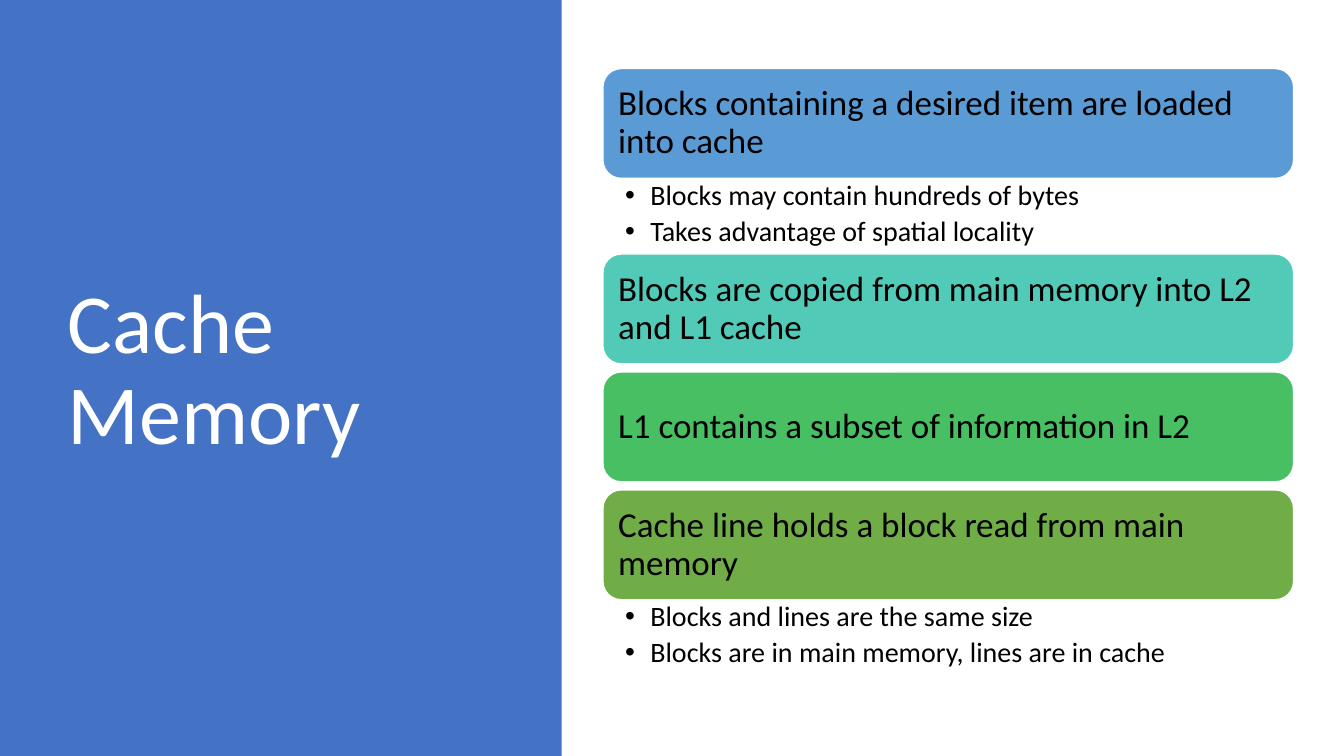
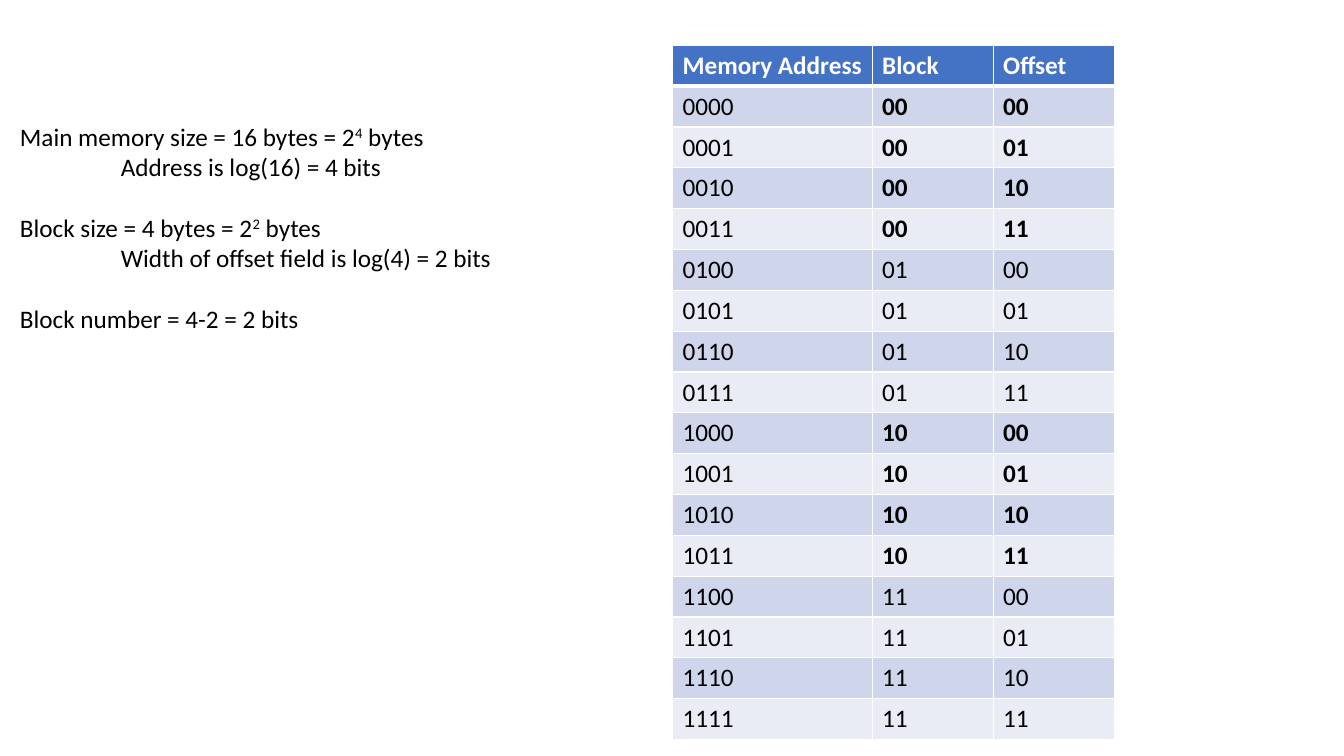
from lxml import etree
from pptx import Presentation
from pptx import util as u
from pptx.dml.color import RGBColor
from pptx.enum import shapes, text
from pptx.oxml.ns import qn

PX = 9144
TITLE_ONLY, BLANK = 5, 6


def px(length):
    return u.Emu(length * PX)


def rgb(code):
    return RGBColor.from_string(code)


def write(paragraph, content, size=18, color="000000", bold=False, line=None,
          before=None, after=None, indent=0, bullet=None, hanging=0):
    """Fill a paragraph; a part between two ^ signs is superscript."""
    props = paragraph._p.get_or_add_pPr()
    if indent:
        props.set("marL", str(px(indent)))
        props.set("indent", str(px(-hanging)))
    if bullet:
        etree.SubElement(props, qn("a:buFont")).set("typeface", "Arial")
        etree.SubElement(props, qn("a:buChar")).set("char", bullet)
    paragraph.alignment = text.PP_ALIGN.LEFT
    if line:
        paragraph.line_spacing = line
    if before:
        paragraph.space_before = u.Pt(before)
    if after:
        paragraph.space_after = u.Pt(after)
    for i, part in enumerate(content.split("^")):
        run = paragraph.add_run()
        run.text = part
        run.font.name = Deck.FONT
        run.font.size = u.Pt(size)
        run.font.bold = bold
        run.font.color.rgb = rgb(color)
        if i % 2:
            run._r.get_or_add_rPr().set("baseline", "30000")


def set_borders(cell, **widths):
    """Draw white cell edges, named by side in the order L, R, T, B."""
    props = cell._tc.get_or_add_tcPr()
    for place, (side, width) in enumerate(widths.items()):
        edge = etree.Element(qn(f"a:ln{side}"), w=str(u.Pt(width)))
        fill = etree.SubElement(edge, qn("a:solidFill"))
        etree.SubElement(fill, qn("a:srgbClr")).set("val", Deck.WHITE)
        props.insert(place, edge)


class Deck:
    FONT = "Calibri"
    WHITE = "FFFFFF"
    ACCENT = "4472C4"
    STRIPES = ("E9EBF5", "CFD5EA")

    def __init__(self, width, height):
        self.prs = Presentation()
        self.prs.slide_width, self.prs.slide_height = px(width), px(height)
        self.slide = None

    def new_slide(self, layout):
        self.slide = self.prs.slides.add_slide(self.prs.slide_layouts[layout])

    def title(self, content, *box):
        heading = self.slide.shapes.title
        heading.left, heading.top, heading.width, heading.height = map(px, box)
        frame = heading.text_frame
        frame.word_wrap = True
        frame.auto_size = text.MSO_AUTO_SIZE.NONE
        frame.vertical_anchor = text.MSO_ANCHOR.MIDDLE
        write(frame.paragraphs[0], content, size=60, color=self.WHITE, line=0.9)

    def panel(self, kind, fill, *box):
        panel = self.slide.shapes.add_shape(kind, *map(px, box))
        panel.shadow.inherit = False
        panel.fill.solid()
        panel.fill.fore_color.rgb = rgb(fill)
        panel.line.fill.background()
        return panel

    def side_band(self, width):
        band = self.panel(shapes.MSO_SHAPE.RECTANGLE, self.ACCENT, 0, 0, width, 750)
        self.slide.shapes.title.element.addprevious(band.element)

    def card(self, content, fill, *box):
        card = self.panel(shapes.MSO_SHAPE.ROUNDED_RECTANGLE, fill, *box)
        card.line.color.rgb = rgb(self.WHITE)
        card.line.width = u.Pt(1)
        frame = card.text_frame
        frame.word_wrap = True
        frame.vertical_anchor = text.MSO_ANCHOR.MIDDLE
        frame.margin_left = frame.margin_right = px(10)
        write(frame.paragraphs[0], content, size=25, line=0.9)

    def text_box(self, lines, *box, margins=(10, 5, 10, 5), **style):
        """Write (text, format) pairs that share a common style."""
        frame = self.slide.shapes.add_textbox(*map(px, box)).text_frame
        frame.word_wrap = True
        (frame.margin_left, frame.margin_top,
         frame.margin_right, frame.margin_bottom) = map(px, margins)
        for i, (content, extra) in enumerate(lines):
            paragraph = frame.add_paragraph() if i else frame.paragraphs[0]
            write(paragraph, content, **style, **extra)

    def table(self, rows, column_widths, bold_blocks, left, top, height):
        table = self.slide.shapes.add_table(
            len(rows), len(column_widths), px(left), px(top),
            px(sum(column_widths)), px(height)).table
        for column, width in zip(table.columns, column_widths):
            column.width = px(width)
        for r, row in enumerate(rows):
            for c, content in enumerate(row):
                cell = table.cell(r, c)
                cell.fill.solid()
                cell.fill.fore_color.rgb = rgb(self.STRIPES[r % 2] if r else self.ACCENT)
                set_borders(cell, L=1, R=1, T=3 if r == 1 else 1, B=1 if r else 3)
                write(cell.text_frame.paragraphs[0], content,
                      color="000000" if r else self.WHITE,
                      bold=r == 0 or (c > 0 and row[1] in bold_blocks))


def cache_slide(deck):
    deck.new_slide(TITLE_ONLY)
    deck.side_band(557)
    deck.title("Cache Memory", 57, 68, 416, 602)
    points = [
        ("Blocks containing a desired item are loaded into cache", "5B9BD5",
         ["Blocks may contain hundreds of bytes", "Takes advantage of spatial locality"]),
        ("Blocks are copied from main memory into L2 and L1 cache", "52CAB8", []),
        ("L1 contains a subset of information in L2", "49BF64", []),
        ("Cache line holds a block read from main memory", "70AD47",
         ["Blocks and lines are the same size",
          "Blocks are in main memory, lines are in cache"]),
    ]
    left, top, width, card_height, details_height, gap = 598, 68, 685, 109, 75, 8
    for point, fill, details in points:
        deck.card(point, fill, left, top, width, card_height)
        top += card_height
        if details:
            deck.text_box([(detail, {}) for detail in details],
                          left, top, width, details_height, margins=(22, 3, 19, 3),
                          size=20, line=0.9, after=4, indent=25, hanging=25, bullet="•")
        top += details_height if details else gap


def address_slide(deck):
    deck.new_slide(BLANK)
    nested, new_group = {"indent": 100}, {"before": 22}
    deck.text_box([
        ("Main memory size = 16 bytes = 2^4^ bytes", {}),
        ("Address is log(16) = 4 bits", nested),
        ("Block size = 4 bytes = 2^2^ bytes", new_group),
        ("Width of offset field is log(4) = 2 bits", nested),
        ("Block number = 4-2 = 2 bits", new_group),
    ], 10, 115, 494, 313)
    addresses = [format(n, "04b") for n in range(16)]
    rows = [("Memory Address", "Block", "Offset")]
    rows += [(address, address[:2], address[2:]) for address in addresses]
    deck.table(rows, (198, 120, 120), ("00", "10"), 667, 45, 689)


def main():
    deck = Deck(1333, 750)
    cache_slide(deck)
    address_slide(deck)
    deck.prs.save("out.pptx")


if __name__ == "__main__":
    main()
